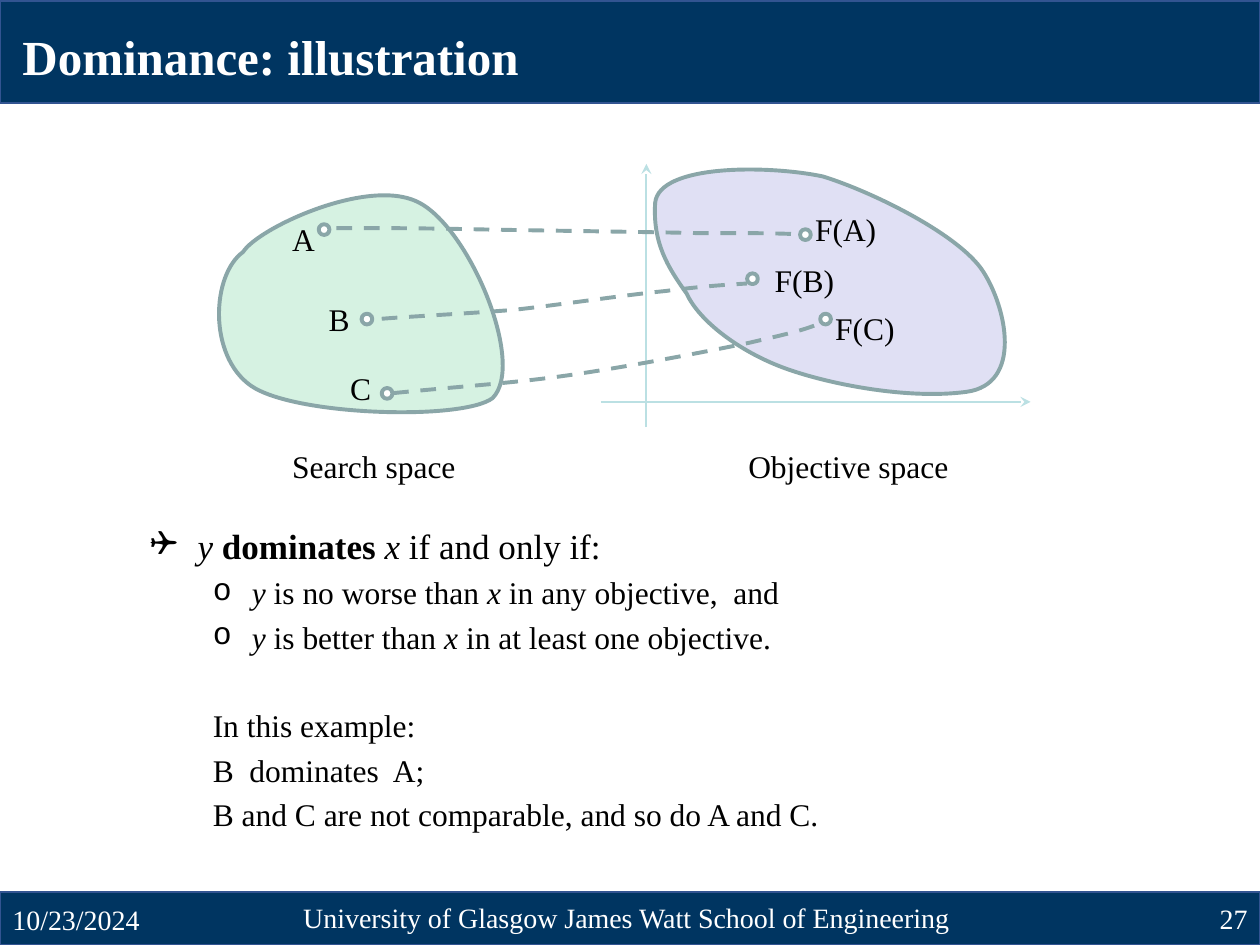
from dataclasses import dataclass

from lxml.etree import SubElement
from pptx import Presentation
from pptx.dml.color import RGBColor
from pptx.enum.dml import MSO_LINE
from pptx.enum.shapes import MSO_CONNECTOR, MSO_SHAPE
from pptx.enum.text import MSO_ANCHOR as Anchor, PP_ALIGN as Align
from pptx.oxml.ns import qn
from pptx.util import Inches, Pt

# The slide is a grid of 1000 columns and 750 rows of square cells.
CELL = Inches(0.01)
COLUMNS, ROWS = 1000, 750
CURVE_STEPS = 16
FONT = "Times New Roman"

WHITE = RGBColor(0xFF, 0xFF, 0xFF)
BLACK = RGBColor(0x00, 0x00, 0x00)
NAVY = RGBColor(0x00, 0x35, 0x61)
BAR_EDGE = RGBColor(0x32, 0x54, 0x91)
GREY_TEAL = RGBColor(0x8A, 0xA6, 0xA8)
PALE_TEAL = RGBColor(0xBB, 0xE0, 0xE3)
GREEN = RGBColor(0x00, 0xB0, 0x50)
VIOLET = RGBColor(0x75, 0x75, 0xD1)

Point = tuple[float, float]
Area = tuple[float, float, float, float]


@dataclass(frozen=True)
class Span:
    text: str
    bold: bool = False
    italic: bool = False


@dataclass(frozen=True)
class Line:
    spans: tuple[Span, ...]
    size: int = 18
    level: int = 0
    margin: float = 0
    hanging: float = 0
    before: float = 0
    bullet: str = ""
    bullet_font: str = ""


@dataclass(frozen=True)
class Curve:
    """Cubic curve: a start point, then two handles and an end per segment."""
    points: tuple[Point, ...]
    fill: RGBColor | None = None
    opacity: int = 100


@dataclass(frozen=True)
class Label:
    text: str
    area: Area


def cells(values) -> list[int]:
    return [round(value * CELL) for value in values]


def add_bullet(para, line: Line) -> None:
    properties = para._p.get_or_add_pPr()
    properties.set("marL", str(Inches(line.margin)))
    properties.set("indent", str(-Inches(line.hanging)))
    if line.bullet_font:
        SubElement(properties, qn("a:buFont"), typeface=line.bullet_font)
    if line.bullet:
        SubElement(properties, qn("a:buChar"), char=line.bullet)
    else:
        SubElement(properties, qn("a:buNone"))


def add_text(slide, area: Area, lines: list[Line], *, color=BLACK,
             align=Align.LEFT, anchor=Anchor.TOP, wrap=True) -> None:
    frame = slide.shapes.add_textbox(*cells(area)).text_frame
    frame.word_wrap = wrap
    frame.vertical_anchor = anchor
    for index, line in enumerate(lines):
        para = frame.add_paragraph() if index else frame.paragraphs[0]
        add_bullet(para, line)
        para.level = line.level
        para.alignment = align
        if index:
            para.space_before = Pt(line.before)
        for span in line.spans:
            run = para.add_run()
            run.text = span.text
            font = run.font
            font.name, font.size = FONT, Pt(line.size)
            font.bold, font.italic = span.bold, span.italic
            font.color.rgb = color


def style(shape, fill: RGBColor | None, line: RGBColor, width: float) -> None:
    shape.shadow.inherit = False
    if fill is None:
        shape.fill.background()
    else:
        shape.fill.solid()
        shape.fill.fore_color.rgb = fill
    shape.line.color.rgb = line
    shape.line.width = Pt(width)


def add_bar(slide, top: float, height: float) -> None:
    bar = slide.shapes.add_shape(MSO_SHAPE.RECTANGLE, *cells((0, top, COLUMNS, height)))
    style(bar, NAVY, BAR_EDGE, 1)


def add_marker(slide, left: float, top: float) -> None:
    marker = slide.shapes.add_shape(MSO_SHAPE.OVAL, *cells((left, top, 8.5, 8.5)))
    style(marker, WHITE, GREY_TEAL, 2.25)


def add_axis(slide, start: Point, end: Point) -> None:
    axis = slide.shapes.add_connector(MSO_CONNECTOR.STRAIGHT, *cells(start + end))
    axis.line.color.rgb = PALE_TEAL
    axis.line.width = Pt(1.25)
    SubElement(axis.line._get_or_add_ln(), qn("a:tailEnd"), type="stealth")
    SubElement(axis._element.spPr, qn("a:effectLst"))


def sample(points: tuple[Point, ...]) -> list[tuple[int, ...]]:
    """Points along the curve, which give its true extent."""
    sampled = []
    for first in range(0, len(points) - 1, 3):
        segment = points[first:first + 4]
        for step in range(1, CURVE_STEPS + 1):
            t = step / CURVE_STEPS
            weights = ((1 - t) ** 3, 3 * t * (1 - t) ** 2, 3 * t * t * (1 - t), t ** 3)
            sampled.append(tuple(cells(
                sum(w * point[axis] for w, point in zip(weights, segment))
                for axis in (0, 1))))
    return sampled


def use_cubic_segments(shape, points: tuple[Point, ...], closed: bool) -> None:
    """Replace the straight steps of the outline by its cubic segments."""
    outline = next(shape._element.iter(qn("a:path")))
    for step in list(outline):
        outline.remove(step)
    for index, point in enumerate(points):
        if index == 0:
            command = SubElement(outline, qn("a:moveTo"))
        elif index % 3 == 1:
            command = SubElement(outline, qn("a:cubicBezTo"))
        x, y = cells(point)
        SubElement(command, qn("a:pt"), x=str(x - shape.left), y=str(y - shape.top))
    if closed:
        SubElement(outline, qn("a:close"))


def add_curve(slide, curve: Curve) -> None:
    """Draw a filled region, or a dashed link when there is no fill."""
    closed = curve.fill is not None
    builder = slide.shapes.build_freeform(*cells(curve.points[0]))
    builder.add_line_segments(sample(curve.points), close=closed)
    shape = builder.convert_to_shape()
    use_cubic_segments(shape, curve.points, closed)
    style(shape, curve.fill, GREY_TEAL, 2.25)
    if closed:
        color = shape._element.spPr.find(qn("a:solidFill")).find(qn("a:srgbClr"))
        SubElement(color, qn("a:alpha"), val=str(curve.opacity * 1000))
    else:
        shape.line.dash_style = MSO_LINE.DASH


SEARCH_REGION = Curve(
    ((193, 200), (168, 218), (165, 282), (199, 306), (233, 330), (367, 334), (391, 316),
     (418, 289), (372, 179), (331, 160), (291, 141), (205, 181), (193, 200)), GREEN, 16)
OBJECTIVE_REGION = Curve(
    ((520, 161), (518, 193), (530, 212), (545, 233), (555, 255), (588, 280), (625, 293),
     (662, 306), (723, 317), (767, 311), (812, 305), (799, 244), (780, 215),
     (761, 186), (692, 152), (653, 140), (610, 131), (523, 130), (520, 161)), VIOLET, 22)
LINKS = (
    Curve(((267, 181), (298, 181), (330, 181), (377, 182), (425, 183), (509, 184),
           (552, 185), (595, 185), (615, 185), (635, 186))),
    Curve(((303, 253), (328, 251), (369, 249), (407, 246), (444, 242), (497, 234),
           (528, 231), (559, 227), (577, 226), (593, 225))),
    Curve(((312, 312), (372, 306), (410, 304), (457, 297), (504, 290), (561, 279),
           (595, 272), (629, 264), (640, 262), (659, 253))),
)
SEARCH_MARKERS = ((253, 178), (287, 249), (303, 308))
OBJECTIVE_MARKERS = ((651, 249), (635, 182), (593, 217))
LABELS = (
    Label("Search space", (222, 350, 154, 40)),
    Label("B", (251, 233, 37, 40)),
    Label("A", (222, 170, 38, 40)),
    Label("C", (268, 288, 38, 40)),
    Label("F(A)", (637, 162, 69, 40)),
    Label("F(C)", (653, 240, 68, 40)),
    Label("Objective space", (584, 350, 181, 40)),
    Label("F(B)", (605, 202, 69, 40)),
)


def condition(comparison: str, ending: str) -> Line:
    spans = (Span("y", italic=True), Span(f" is {comparison} than "),
             Span("x", italic=True), Span(f" in {ending}"))
    return Line(spans, level=1, margin=0.81, hanging=0.31, before=3.75,
                bullet="o", bullet_font="Courier New")


def remark(text: str, before: float = 3.75) -> Line:
    return Line((Span(text),), level=1, margin=0.5, before=before)


DEFINITION = [
    Line((Span("y ", italic=True), Span("dominates ", bold=True),
          Span("x", italic=True), Span(" if and only if:")),
         size=20, margin=0.38, hanging=0.38, bullet="❑", bullet_font="Wingdings"),
    condition("no worse", "any objective,  and"),
    condition("better", "at least one objective."),
    remark("In this example:", before=29.2),
    remark("B  dominates  A;"),
    remark("B and C are not comparable, and so do A and C."),
]
FOOTERS = (
    ("10/23/2024", (0, 710, 225, 40), Align.LEFT),
    ("27", (775, 709, 225, 40), Align.RIGHT),
    ("University of Glasgow James Watt School of Engineering ",
     (225, 708, 550, 40), Align.CENTER),
)


def main() -> None:
    deck = Presentation()
    deck.slide_width, deck.slide_height = cells((COLUMNS, ROWS))
    slide = deck.slides.add_slide(deck.slide_layouts[6])

    add_bar(slide, 708, 42)
    add_bar(slide, 1, 81)
    add_text(slide, (8, 16.5, 418, 57),
             [Line((Span("Dominance: illustration", bold=True),), size=28)],
             color=WHITE, wrap=False)
    for text, area, align in FOOTERS:
        add_text(slide, area, [Line((Span(text),), size=16)],
                 color=WHITE, align=align, anchor=Anchor.MIDDLE)
    add_text(slide, (109, 411.5, 828, 265), DEFINITION)

    add_curve(slide, SEARCH_REGION)
    add_axis(slide, (513, 339), (513, 130))
    add_axis(slide, (477, 319), (818, 319))
    add_curve(slide, OBJECTIVE_REGION)
    for link in LINKS:
        add_curve(slide, link)
    for left, top in SEARCH_MARKERS + OBJECTIVE_MARKERS:
        add_marker(slide, left, top)
    for label in LABELS:
        add_text(slide, label.area, [Line((Span(label.text),))], wrap=False)

    deck.save("out.pptx")


if __name__ == "__main__":
    main()
